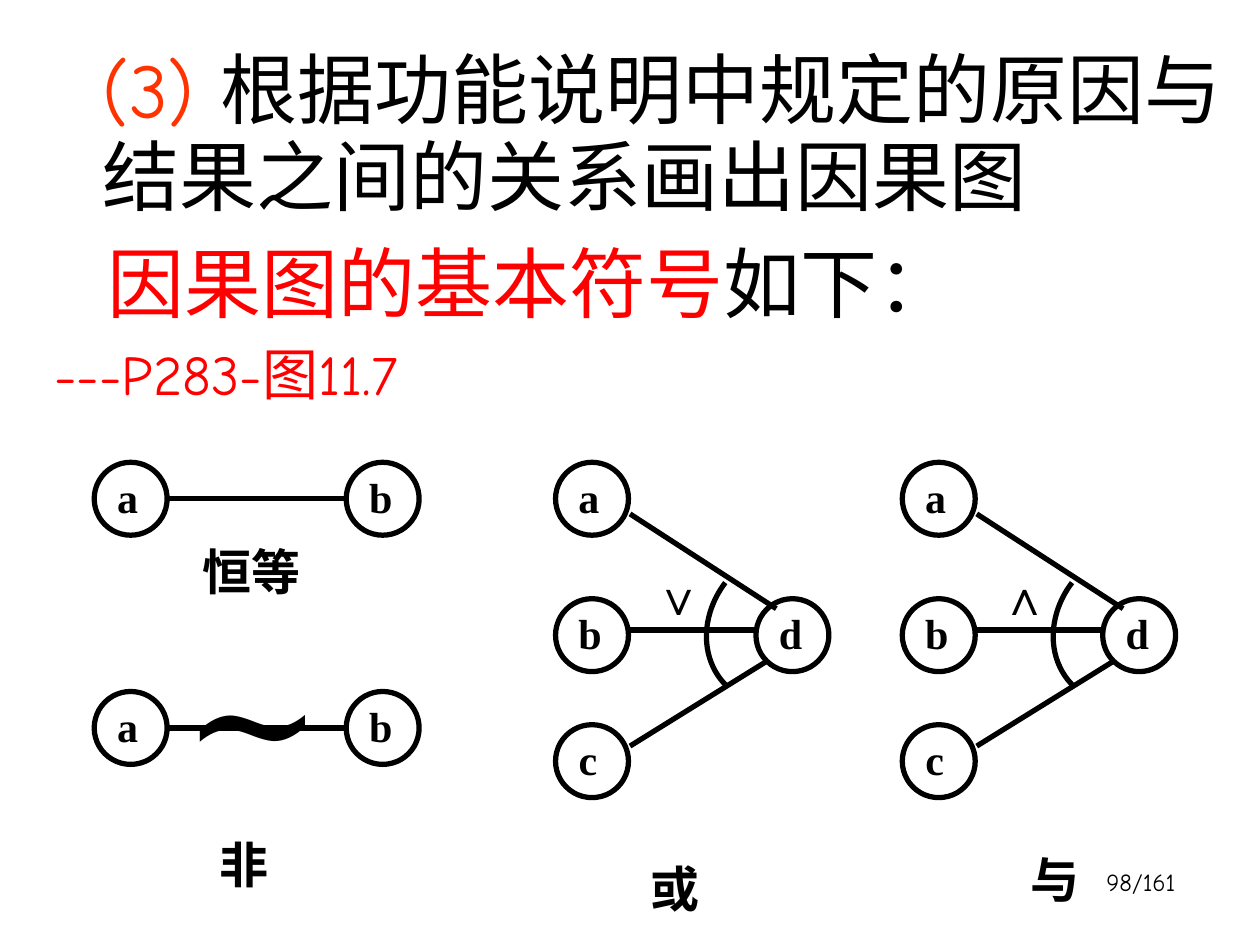
from lxml.etree import SubElement
from pptx import Presentation
from pptx.dml.color import RGBColor
from pptx.enum.shapes import MSO_CONNECTOR as Connector, MSO_SHAPE as Shape
from pptx.enum.text import MSO_ANCHOR as Anchor, MSO_AUTO_SIZE as AutoSize, PP_ALIGN as Align
from pptx.oxml.ns import qn
from pptx.util import Cm, Pt

COLORS = {"ink": "000000", "red": "FF0000", "orange": "FF3300"}
LETTER = {"size": Pt(24), "name": "Times New Roman", "bold": True}
CAPTION = {**LETTER, "size": Pt(28)}
OPERATOR = {**CAPTION, "name": "Arial"}
NEGATION = {"size": Pt(96), "name": "Times New Roman"}
PAGE_NUMBER = {"size": Pt(14), "name": "Comic Neue"}
HEADING = {"size": Pt(44), "name": "Comic Neue"}
REFERENCE = {**HEADING, "size": Pt(32)}

NODE_SIZE = 1.47
RADIUS = NODE_SIZE / 2
TOP_ROW, MIDDLE_ROW, BOTTOM_ROW = 9.32, 12.07, 14.61


def apply(target, formats):
    for name, value in formats.items():
        setattr(target, name, value)


class SlideBuilder:
    """Holds the slide and its line style; all lengths are in centimetres."""

    line_width = Pt(3)

    def __init__(self, slide):
        self.slide = slide

    def style_line(self, line):
        line.color.rgb = RGBColor.from_string(COLORS["ink"])
        line.width = self.line_width

    def run(self, paragraph, text, formats, color="ink"):
        run = paragraph.add_run()
        run.text = text
        apply(run.font, formats)
        run.font.color.rgb = RGBColor.from_string(COLORS[color])

    def body(self, box, paragraphs):
        """Fill the body placeholder from (format, runs) pairs."""
        placeholder = self.slide.placeholders[1]
        apply(placeholder, dict(zip(("left", "top", "width", "height"), map(Cm, box))))
        frame = placeholder.text_frame
        apply(frame, {"auto_size": AutoSize.NONE, "vertical_anchor": Anchor.TOP})
        for index, (left, space, font, runs) in enumerate(paragraphs):
            paragraph = frame.add_paragraph() if index else frame.paragraphs[0]
            properties = paragraph._p.get_or_add_pPr()
            properties.set("marL", str(Cm(left)))
            properties.set("indent", "0")
            SubElement(properties, qn("a:buNone"))
            apply(paragraph, {"line_spacing": 0.95, "space_before": Pt(space)})
            for text, color in runs:
                self.run(paragraph, text, font, color)

    def label(self, text, box, formats, wrap=False, align=Align.CENTER,
              anchor=Anchor.MIDDLE, spacing=1.05):
        frame = self.slide.shapes.add_textbox(*map(Cm, box)).text_frame
        apply(frame, {"word_wrap": wrap, "vertical_anchor": anchor,
                      "auto_size": AutoSize.NONE})
        paragraph = frame.paragraphs[0]
        apply(paragraph, {"alignment": align, "line_spacing": spacing})
        self.run(paragraph, text, formats)

    def outline(self, kind, box):
        shape = self.slide.shapes.add_shape(kind, *map(Cm, box))
        shape.shadow.inherit = False
        shape.fill.background()
        self.style_line(shape.line)
        return shape

    def node(self, letter, left, top):
        self.outline(Shape.OVAL, (left, top, NODE_SIZE, NODE_SIZE))
        self.label(letter, (left + 0.21, top, 0.89, 1.32), LETTER, wrap=True)

    def line(self, start, end):
        connector = self.slide.shapes.add_connector(
            Connector.STRAIGHT, *map(Cm, (*start, *end)))
        self.style_line(connector.line)
        SubElement(connector._element.spPr, qn("a:effectLst"))

    def arc(self, box):
        """Draw the arc that spans the three incoming links."""
        arc = self.outline(Shape.ARC, box)
        arc.rotation = 223.4
        for index, degrees in enumerate((270, 352)):
            arc.adjustments[index] = degrees * 0.6

    def pair(self, top):
        """Draw nodes a and b joined by a horizontal link."""
        left_a, left_b = 1.9, 6.98
        self.node("b", left_b, top)
        self.node("a", left_a, top)
        self.line((left_a + NODE_SIZE, top + RADIUS), (left_b, top + RADIUS))

    def join(self, left, operator):
        """Draw nodes a, b and c leading into d under one operator."""
        for letter, top in zip("abc", (TOP_ROW, MIDDLE_ROW, BOTTOM_ROW)):
            self.node(letter, left, top)
        self.node("d", left + 4.04, MIDDLE_ROW)
        for start_y, end_x, end_y in ((12.7, 4.04, 12.7), (15.04, 4.24, 13.34),
                                      (10.36, 4.45, 12.27)):
            self.line((left + 1.5, start_y), (left + end_x, end_y))
        self.arc((left + 3.15, 10.9, 2.95, 3.4))
        self.label(operator, (left + 2.06, 11.23, 0.84, 1.5), OPERATOR)


def main():
    presentation = Presentation()
    presentation.slide_width, presentation.slide_height = Cm(25.4), Cm(19.05)
    slide = presentation.slides.add_slide(presentation.slide_layouts[1])
    title = slide.shapes.title._element
    title.getparent().remove(title)
    builder = SlideBuilder(slide)

    builder.label("98/161", (18.67, 17.35, 5.28, 1.27), PAGE_NUMBER, wrap=True,
                  align=Align.RIGHT, anchor=Anchor.TOP, spacing=1.0)
    builder.body((0.84, 0.84, 24.13, 7.82), (
        (0.97, 0, HEADING, (
            ("(3) ", "orange"),
            ("根据功能说明中规定的原因与结果之间的关系画出因果图", "ink"))),
        (1.07, 11, HEADING, (("因果图的基本符号", "red"), ("如下：", "ink"))),
        (0, 8, REFERENCE, (("---P283-图11.7", "red"),)),
    ))

    for top in (TOP_ROW, 13.94):
        builder.pair(top)
    for left, operator in ((11.2, "∨"), (18.19, "∧")):
        builder.join(left, operator)

    builder.label("∼", (3.43, 12.04, 3.33, 4.52), NEGATION)
    for text, left, top, width in (("恒等", 3.84, 10.72, 2.46), ("非", 4.17, 16.64, 1.5),
                                   ("或", 12.85, 17.12, 1.5), ("与", 20.52, 16.94, 1.5)):
        builder.label(text, (left, top, width, 1.5), CAPTION)

    presentation.save("out.pptx")


if __name__ == "__main__":
    main()
